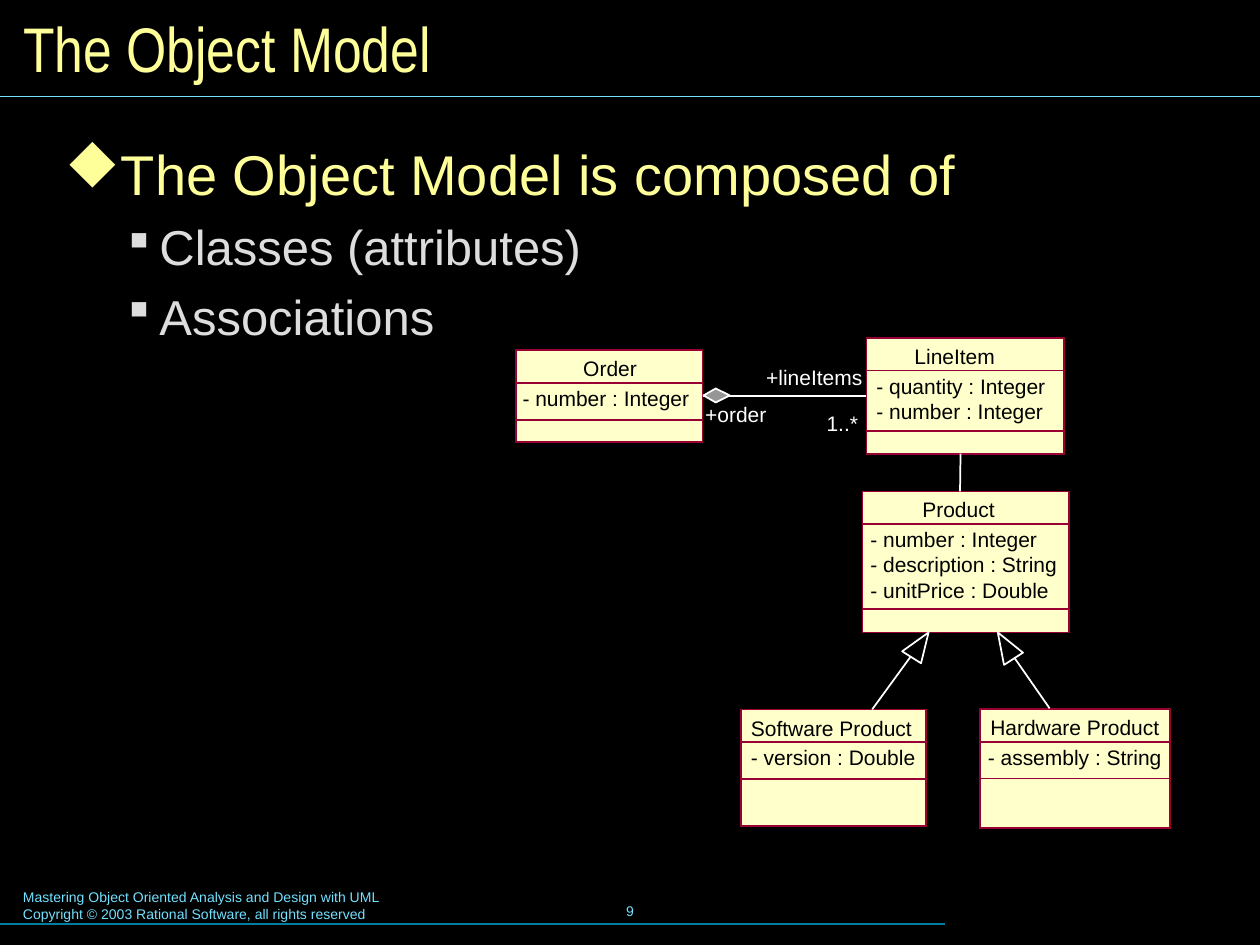
from lxml.etree import SubElement
from pptx import Presentation
from pptx.dml.color import RGBColor
from pptx.enum.shapes import MSO_CONNECTOR as Connector, MSO_SHAPE as Shape
from pptx.enum.text import MSO_ANCHOR as Anchor, MSO_AUTO_SIZE as AutoSize, PP_ALIGN as Align
from pptx.oxml.ns import qn
from pptx.util import Pt

COLORS = {
    "background": "000000", "heading": "FFFF99", "body": "DDDDDD",
    "rule": "73E1FF", "dark rule": "007E9F", "class fill": "FFFFCC",
    "class line": "990033", "class text": "000000",
    "link": "FFFFFF", "diamond": "969696",
}
# Wingdings characters for the bullets
DIAMOND, SQUARE = "u", "§"
NAME_HEIGHT = 18.7
ROW_HEIGHT = 13.8


def color(name):
    return RGBColor.from_string(COLORS[name])


def style_text(para, size, color_name, font="Arial"):
    for span in para.runs:
        span.font.size = Pt(size)
        span.font.name = font
        span.font.color.rgb = color(color_name)


def set_margins(frame, across=0, down=0):
    frame.margin_left = frame.margin_right = Pt(across)
    frame.margin_top = frame.margin_bottom = Pt(down)


def add_text(page, box, text, size, color_name, margins=(0, 0), wrap=False):
    frame = page.shapes.add_textbox(*map(Pt, box)).text_frame
    frame.text = text
    frame.word_wrap = wrap
    set_margins(frame, *margins)
    for para in frame.paragraphs:
        style_text(para, size, color_name)
    return frame


def add_line(page, start, end, color_name="link", width=1):
    line = page.shapes.add_connector(Connector.STRAIGHT, *map(Pt, start + end))
    line.line.color.rgb = color(color_name)
    line.line.width = Pt(width)
    SubElement(line._element.spPr, qn("a:effectLst"))


def style_shape(shape, line, fill=None):
    shape.shadow.inherit = False
    shape.line.color.rgb = color(line)
    shape.line.width = Pt(1)
    if fill:
        shape.fill.solid()
        shape.fill.fore_color.rgb = color(fill)
    else:
        shape.fill.background()


def add_outline(page, points, fill=None):
    corners = [(Pt(x), Pt(y)) for x, y in points]
    builder = page.shapes.build_freeform(*corners[0])
    builder.add_line_segments(corners[1:], close=True)
    style_shape(builder.convert_to_shape(), "link", fill)


def add_title(page, box, text):
    title = page.shapes.title
    title.left, title.top, title.width, title.height = map(Pt, box)
    frame = title.text_frame
    frame.text = text
    frame.auto_size = AutoSize.NONE
    frame.vertical_anchor = Anchor.MIDDLE
    set_margins(frame, 7.2, 3.6)
    frame.paragraphs[0].alignment = Align.LEFT
    style_text(frame.paragraphs[0], 36, "heading", "Arial Narrow")


def add_bullet(para, mark, color_name, margin, hang):
    props = para._p.get_or_add_pPr()
    props.set("marL", str(Pt(margin)))
    props.set("indent", str(-Pt(hang)))
    tint = SubElement(SubElement(props, qn("a:buClr")), qn("a:srgbClr"))
    tint.set("val", COLORS[color_name])
    font = SubElement(props, qn("a:buFont"))
    font.set("typeface", "Wingdings")
    font.set("charset", "2")
    SubElement(props, qn("a:buChar")).set("char", mark)


def add_body(page, box, heading, points):
    frame = add_text(page, box, "\n".join([heading, *points]), 28, "body", (8.64, 4.32), True)
    first, *others = frame.paragraphs
    add_bullet(first, DIAMOND, "heading", 26.64, 26.64)
    first.line_spacing = 0.8
    style_text(first, 32, "heading")
    for para in others:
        add_bullet(para, SQUARE, "body", 54, 18)
        para.level = 1
        para.line_spacing = 0.87
        para.space_before = Pt(10.5)


def add_class(page, box, name, name_left, attributes, attributes_left):
    left, top, width, height = box
    operations = 39.6 + ROW_HEIGHT * (len(attributes) - 1)
    # Nested compartments: whole class, attributes with operations, operations
    for offset, fill in ((0, "class fill"), (NAME_HEIGHT, None), (operations, None)):
        part = page.shapes.add_shape(
            Shape.RECTANGLE, Pt(left), Pt(top + offset), Pt(width), Pt(height - offset))
        style_shape(part, "class line", fill)
    add_text(page, (left + name_left, top + 3.2, width - name_left, ROW_HEIGHT),
             name, 12, "class text")
    add_text(page, (left + attributes_left, top + 20.2, width - attributes_left,
                    ROW_HEIGHT * len(attributes)),
             "\n".join(attributes), 12, "class text")


def add_diagram(page):
    # Classes
    add_class(page, (495.2, 193, 113, 66.4), "LineItem", 27.4,
              ["- quantity : Integer", "- number : Integer"], 5.6)
    add_class(page, (295, 200.2, 106.5, 52.2), "Order", 38.3, ["- number : Integer"], 3.6)
    add_class(page, (492.9, 280.8, 118, 80.6), "Product", 34.2,
              ["- number : Integer", "- description : String", "- unitPrice : Double"], 4.5)
    add_class(page, (423.4, 405.5, 105.8, 66.4), "Software Product", 5.7,
              ["- version : Double"], 5.7)
    add_class(page, (560, 405.2, 108.8, 68.2), "Hardware Product", 5.9,
              ["- assembly : String"], 4.5)

    # Associations
    add_line(page, (494.6, 226.1), (401.5, 226.1))
    add_outline(page, [(402, 226), (409, 230), (417, 226), (409, 222)], "diamond")
    add_line(page, (548.6, 280.8), (548.9, 259.2))
    for left, top, width, label in ((437.8, 208.1, 62, "+lineItems"),
                                    (472.3, 234.7, 24, "1..*"),
                                    (403, 229.5, 42, "+order")):
        add_text(page, (left, top, width, ROW_HEIGHT), label, 12, "link")

    # Generalizations
    add_line(page, (498.4, 405.4), (520.4, 375.2))
    add_outline(page, [(530.6, 361.4), (526.3, 379), (515.5, 372.2)])
    add_line(page, (599.8, 404.8), (579.6, 375.8))
    add_outline(page, [(570.2, 361.4), (584.6, 373), (573.8, 380)])


def add_footer(page, box, lines, number):
    left, top, width, height = box
    add_text(page, (left, top, 367, 26.6), "\n".join(lines), 8, "rule", (7.2, 3.6), True)
    frame = add_text(page, (246, top - 1.4, 228, 36), number, 8, "rule", (7.2, 3.6), True)
    frame.vertical_anchor = Anchor.MIDDLE
    frame.paragraphs[0].alignment = Align.CENTER
    add_line(page, (0, top + height), (width, top + height), "dark rule", 0.75)


def main():
    deck = Presentation()
    deck.slide_width, deck.slide_height = Pt(720), Pt(540)
    page = deck.slides.add_slide(deck.slide_layouts[5])
    page.background.fill.solid()
    page.background.fill.fore_color.rgb = color("background")

    add_footer(page, (6, 504.2, 540, 23.8),
               ["Mastering Object Oriented Analysis and Design with UML",
                "Copyright © 2003 Rational Software, all rights reserved"], "9")
    add_line(page, (0, 55), (720, 55), "rule", 0.75)
    add_title(page, (6, 6, 708.4, 41.8), "The Object Model")
    add_body(page, (28.5, 82.8, 668.9, 121), "The Object Model is composed of",
             ["Classes (attributes)", "Associations"])
    add_diagram(page)
    deck.save("out.pptx")


if __name__ == "__main__":
    main()
